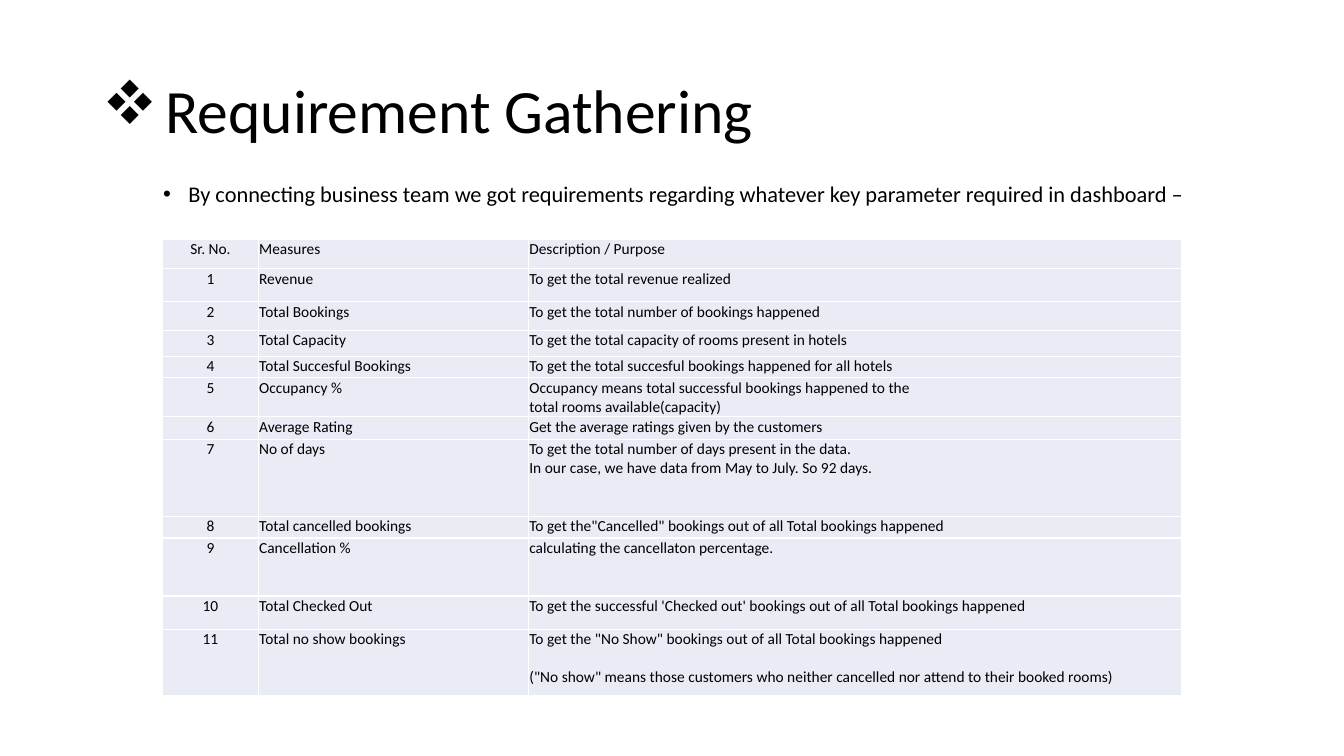
import pptx
import pptx.util
import pptx.dml.color
import pptx.enum.text
import pptx.oxml
import pptx.oxml.ns
import lxml.etree

Cm = pptx.util.Cm
Pt = pptx.util.Pt
COLOURS = {"text": "000000", "cell": "E9EBF5", "border": "FFFFFF"}
FONT = "Calibri"

TITLE = "Requirement Gathering"
INTRO = ("By connecting business team we got requirements regarding "
         "whatever key parameter required in dashboard –")
HEADER = ("Sr. No.", "Measures", "Description / Purpose")
MEASURES = [
    ("Revenue", ["To get the total revenue realized"]),
    ("Total Bookings", ["To get the total number of bookings happened"]),
    ("Total Capacity", ["To get the total capacity of rooms present in hotels"]),
    ("Total Succesful Bookings",
     ["To get the total succesful bookings happened for all hotels"]),
    ("Occupancy %", ["Occupancy means total successful bookings happened to the",
                     "total rooms available(capacity)"]),
    ("Average Rating", ["Get the average ratings given by the customers"]),
    ("No of days", ["To get the total number of days present in the data.",
                    "In our case, we have data from May to July. So 92 days."]),
    ("Total cancelled bookings",
     ['To get the"Cancelled" bookings out of all Total bookings happened']),
    ("Cancellation %", ["calculating the cancellaton percentage."]),
    ("Total Checked Out",
     ["To get the successful 'Checked out' bookings out of all Total bookings happened"]),
    ("Total no show bookings",
     ['To get the "No Show" bookings out of all Total bookings happened',
      '("No show" means those customers who neither cancelled nor attend '
      'to their booked rooms)']),
]
SPACED_MEASURE = "Total no show bookings"
COLUMN_WIDTHS = (2.41, 6.81, 16.46)
ROW_HEIGHTS = (0.74, 0.83, 0.72, 0.66, 0.54, 0.98, 0.57, 1.94, 0.55, 1.46, 0.84, 1.67)


def colour(name):
    return pptx.dml.color.RGBColor.from_string(COLOURS[name])


def style(para, size):
    para.font.name = FONT
    para.font.size = Pt(size)
    para.font.color.rgb = colour("text")


def add_bullet_text(page, place, text, size, indent, bullet_font, bullet, anchor):
    box = page.shapes.add_textbox(*(Cm(length) for length in place))
    frame = box.text_frame
    frame.word_wrap = True
    frame.vertical_anchor = anchor
    para = frame.paragraphs[0]
    para.text = text
    para.line_spacing = 0.9
    style(para, size)
    properties = para._p.get_or_add_pPr()
    properties.set("marL", str(Cm(indent)))
    properties.set("indent", str(-Cm(indent)))
    for tag, key, value in (("a:buFont", "typeface", bullet_font),
                            ("a:buChar", "char", bullet)):
        mark = lxml.etree.Element(pptx.oxml.ns.qn(tag))
        mark.set(key, value)
        properties.insert_element_before(mark, "a:tabLst", "a:defRPr", "a:extLst")


def add_borders(cell):
    for side in ("lnL", "lnR", "lnT", "lnB"):
        cell._tc.get_or_add_tcPr().append(pptx.oxml.parse_xml(
            f'<a:{side} {pptx.oxml.ns.nsdecls("a")} w="{Pt(1)}"><a:solidFill>'
            f'<a:srgbClr val="{COLOURS["border"]}"/></a:solidFill></a:{side}>'))


def fill_cell(cell, lines, centred, gap):
    cell.margin_left = cell.margin_right = cell.margin_top = Cm(0.02)
    cell.margin_bottom = 0
    add_borders(cell)
    cell.fill.solid()
    cell.fill.fore_color.rgb = colour("cell")
    cell.text_frame.text = "\n".join(lines)
    for position, para in enumerate(cell.text_frame.paragraphs):
        style(para, 11)
        if centred:
            para.alignment = pptx.enum.text.PP_ALIGN.CENTER
        if position and gap:
            para.space_before = Pt(gap)


deck = pptx.Presentation()
deck.slide_width, deck.slide_height = Cm(33.87), Cm(19.05)
page = deck.slides.add_slide(deck.slide_layouts[6])

anchors = pptx.enum.text.MSO_ANCHOR
add_bullet_text(page, (2.33, 1.01, 29.21, 3.68), TITLE, 44, 1.59,
                "Wingdings", "v", anchors.MIDDLE)
add_bullet_text(page, (3.86, 4.5, 26.31, 11.89), INTRO, 16, 0.64,
                "Arial", "•", anchors.TOP)

rows = [tuple([text] for text in HEADER)]
rows += [([str(number)], [measure], purpose)
         for number, (measure, purpose) in enumerate(MEASURES, 1)]
table = page.shapes.add_table(
    len(rows), len(HEADER), Cm(4.1), Cm(6.03),
    Cm(sum(COLUMN_WIDTHS)), Cm(sum(ROW_HEIGHTS))).table
for column, width in zip(table.columns, COLUMN_WIDTHS):
    column.width = Cm(width)
for row, height, contents in zip(table.rows, ROW_HEIGHTS, rows):
    row.height = Cm(height)
    gap = 13.4 if contents[1] == [SPACED_MEASURE] else 0
    for index, (cell, lines) in enumerate(zip(row.cells, contents)):
        fill_cell(cell, lines, index == 0, gap)

deck.save("out.pptx")
